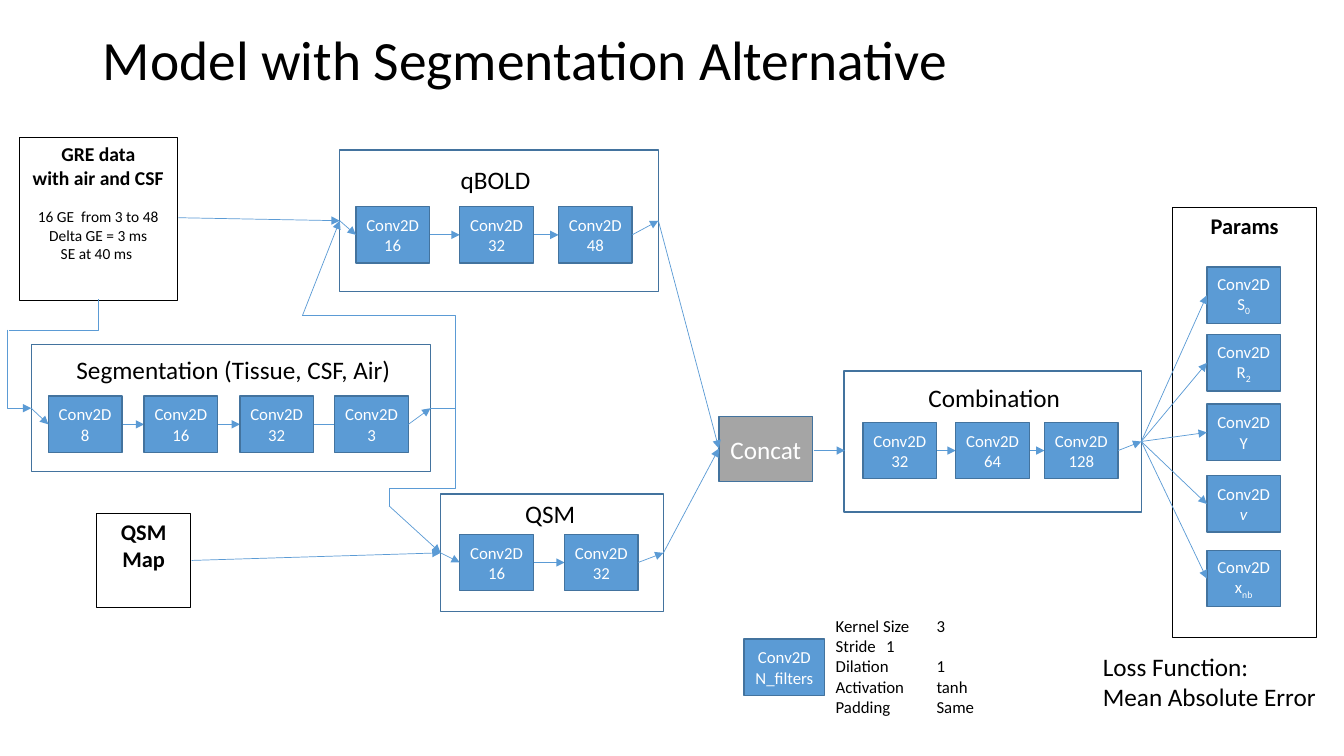
from itertools import pairwise

from lxml.etree import SubElement
from pptx import Presentation
from pptx.dml.color import RGBColor
from pptx.enum.shapes import MSO_CONNECTOR as Link, MSO_SHAPE as Shape
from pptx.enum.text import MSO_ANCHOR as Anchor, MSO_AUTO_SIZE as Fit, PP_ALIGN as Align
from pptx.oxml.ns import qn
from pptx.util import Inches, Pt

COLORS = {
    "text": "000000", "light": "FFFFFF", "conv": "5B9BD5",
    "edge": "43739E", "concat": "A5A5A5", "arrow": "5B9BD5",
}
CONV_W, CONV_H = 0.73, 0.56

# Each block: frame, heading, layers as (left, label); "reach" extends the last step
BLOCKS = {
    "qBOLD": dict(frame=(3.37, 1.49, 3.16, 1.4), heading=(4.47, 1.58, 0.95, 0.4),
                  top=2.05, layers=[(3.53, "16"), (4.56, "32"), (5.54, "48")]),
    "Segmentation (Tissue, CSF, Air)": dict(
        frame=(0.31, 3.42, 3.96, 1.26), heading=(0.66, 3.47, 3.32, 0.4), top=3.93,
        layers=[(0.48, "8"), (1.43, "16"), (2.38, "32"), (3.32, "3")], reach=0.11),
    "QSM": dict(frame=(4.37, 4.9, 2.21, 1.17), heading=(5.11, 4.89, 0.83, 0.4),
                top=5.3, layers=[(4.56, "16"), (5.6, "32")]),
    "Combination": dict(frame=(8.37, 3.68, 2.95, 1.4), heading=(9.11, 3.74, 1.65, 0.4),
                        top=4.19, layers=[(8.56, "32"), (9.48, "64"), (10.36, "128")],
                        entry=False),
}
SUB = {"baseline": "-25000"}
PARAMS = [
    (2.65, [("S", {}), ("0", SUB)]),
    (3.32, [("R", {}), ("2", SUB)]),
    (4.01, [("Y", {})]),
    (4.72, [("v", {"i": "1"})]),
    (5.46, [("x", {}), ("nb", SUB)]),
]
SETTINGS = {"Kernel Size ": "3", "Stride ": "1", "Dilation ": "1",
            "Activation ": "tanh", "Padding": "Same"}


def rgb(name):
    return RGBColor.from_string(COLORS[name])


def write(frame, lines, size, color="text", align=Align.LEFT, **values):
    """Fill a text frame; a line is a string or a list of (text, run attributes)."""
    for number, line in enumerate(lines):
        para = frame.paragraphs[0] if number == 0 else frame.add_paragraph()
        para.alignment = align
        for text, marks in [(line, {})] if isinstance(line, str) else line:
            span = para.add_run()
            span.text = text
            formats = {"name": "Calibri", "size": Pt(size), **values}
            for name, value in formats.items():
                setattr(span.font, name, value)
            span.font.color.rgb = rgb(color)
            for name, value in marks.items():
                span._r.get_or_add_rPr().set(name, value)


def add_text(page, place, lines, size, wrap=True):
    box = page.shapes.add_textbox(*map(Inches, place))
    box.text_frame.word_wrap = wrap
    write(box.text_frame, lines, size)


def add_box(page, place, fill=None, edge="edge", width=1, anchor=Anchor.MIDDLE, inset=0.05):
    box = page.shapes.add_shape(Shape.RECTANGLE, *map(Inches, place))
    box.shadow.inherit = False
    if fill:
        box.fill.solid()
        box.fill.fore_color.rgb = rgb(fill)
    else:
        box.fill.background()
    box.line.color.rgb = rgb(edge)
    box.line.width = Pt(width)
    frame = box.text_frame
    frame.word_wrap = True
    frame.vertical_anchor = anchor
    frame.margin_left = frame.margin_right = Inches(inset)
    return frame


def add_panel(page, place):
    return add_box(page, place, edge="text", width=0.75, anchor=Anchor.TOP, inset=0.1)


def add_conv(page, left, top, label, width=CONV_W):
    frame = add_box(page, (left, top, width, CONV_H), fill="conv")
    write(frame, ["Conv2D", label], 12, "light", Align.CENTER)


def style_line(line, head):
    line.color.rgb = rgb("arrow")
    line.width = Pt(0.5)
    if head:
        SubElement(line._get_or_add_ln(), qn("a:tailEnd"), type="triangle")


def add_arrow(page, start, end, head=True):
    arrow = page.shapes.add_connector(Link.STRAIGHT, *map(Inches, (*start, *end)))
    style_line(arrow.line, head)
    SubElement(arrow._element.spPr, qn("a:effectLst"))


def add_route(page, points, head=False):
    """Draw one open line with right-angled bends."""
    corners = [(Inches(x), Inches(y)) for x, y in points]
    builder = page.shapes.build_freeform(*corners[0])
    builder.add_line_segments(corners[1:], close=False)
    route = builder.convert_to_shape()
    route.shadow.inherit = False
    route.fill.background()
    style_line(route.line, head)


def add_block(page, title, frame, heading, top, layers, reach=0, entry=True):
    """Draw a network block and return its entry and exit points."""
    left, upper, width, height = frame
    port = upper + height / 2
    middle = top + CONV_H / 2
    add_box(page, frame)
    add_text(page, heading, [title], 18)
    lefts = [x for x, _ in layers]
    for here, following in pairwise(lefts):
        extra = reach if following == lefts[-1] else 0
        add_arrow(page, (here + CONV_W, middle), (following + extra, middle))
    for x, label in layers:
        add_conv(page, x, top, label)
    if entry:
        add_arrow(page, (left, port), (lefts[0], middle))
    add_arrow(page, (lefts[-1] + CONV_W, middle), (left + width, port))
    return (left, port), (left + width, port)


def add_title(page, text):
    title = page.shapes.title
    title.left, title.top, title.width, title.height = map(Inches, (0.92, 0.4, 11.5, 0.45))
    frame = title.text_frame
    frame.auto_size = Fit.NONE
    frame.vertical_anchor = Anchor.MIDDLE
    write(frame, [text], 39.6)
    frame.paragraphs[0].line_spacing = 0.9


def main():
    deck = Presentation()
    deck.slide_width, deck.slide_height = Inches(13.33), Inches(7.5)
    page = deck.slides.add_slide(deck.slide_layouts[5])
    add_title(page, "Model with Segmentation Alternative")

    # Input data
    gre = add_panel(page, (0.19, 1.36, 1.57, 1.62))
    write(gre, ["GRE data", "with air and CSF"], 14, align=Align.CENTER, bold=True)
    details = ["16 GE  from 3 to 48", "Delta GE = 3 ms", "SE at 40 ms "]
    for number, line in enumerate(details):
        para = gre.add_paragraph()
        para.alignment = Align.CENTER
        para.space_before = Pt(0 if number else 13)
        span = para.add_run()
        span.text = line
        for name, value in {"name": "Calibri", "size": Pt(11), "bold": False}.items():
            setattr(span.font, name, value)
        span.font.color.rgb = rgb("text")
    qsm_map = add_panel(page, (0.96, 5.09, 0.93, 0.94))
    write(qsm_map, ["QSM Map"], 16, align=Align.CENTER, bold=True)

    # Network blocks
    ports = [add_block(page, title, **block) for title, block in BLOCKS.items()]
    (qbold_in, qbold_out), (seg_in, seg_out), (qsm_in, qsm_out), (_, mix_out) = ports

    # Concatenation
    concat = add_box(page, (7.13, 4.13, 0.93, 0.65), fill="concat")
    write(concat, ["Concat"], 18, "light", Align.CENTER)
    for source in (qbold_out, qsm_out):
        add_arrow(page, source, (7.13, 4.45))
    add_arrow(page, (8.07, 4.47), (8.38, 4.47))

    # Input links
    add_arrow(page, (1.77, 2.16), qbold_in)
    add_arrow(page, (1.9, 5.56), qsm_in)
    add_route(page, [(0.98, 2.97), (0.98, 3.28), (0.09, 3.28)])
    add_route(page, [(0.07, 3.27), (0.07, 4.05), seg_in], head=True)

    # Segmentation feeds both other branches
    add_route(page, [seg_out, (4.52, 4.05), (4.52, 3.13), (3, 3.13)])
    add_arrow(page, (3, 3.13), qbold_in)
    add_route(page, [seg_out, (4.52, 4.05), (4.52, 4.85), (3.86, 4.85), (3.86, 5.02)])
    add_arrow(page, (3.86, 5.02), qsm_in)

    # Output parameters
    params = add_panel(page, (11.63, 2.06, 1.43, 4.27))
    write(params, ["Params"], 16, align=Align.CENTER, bold=True)
    for top, label in PARAMS:
        add_conv(page, 11.97, top, label)
        add_arrow(page, mix_out, (11.97, top + CONV_H / 2))

    # Legend and loss
    add_conv(page, 7.38, 6.34, "N_filters", width=0.8)
    settings = [f"{name}\t{value}" for name, value in SETTINGS.items()]
    add_text(page, (8.19, 6.06, 1.59, 1.11), settings, 12, wrap=False)
    add_text(page, (10.84, 6.41, 2.39, 0.71), ["Loss Function:", "Mean Absolute Error"], 18)

    deck.save("out.pptx")


main()
